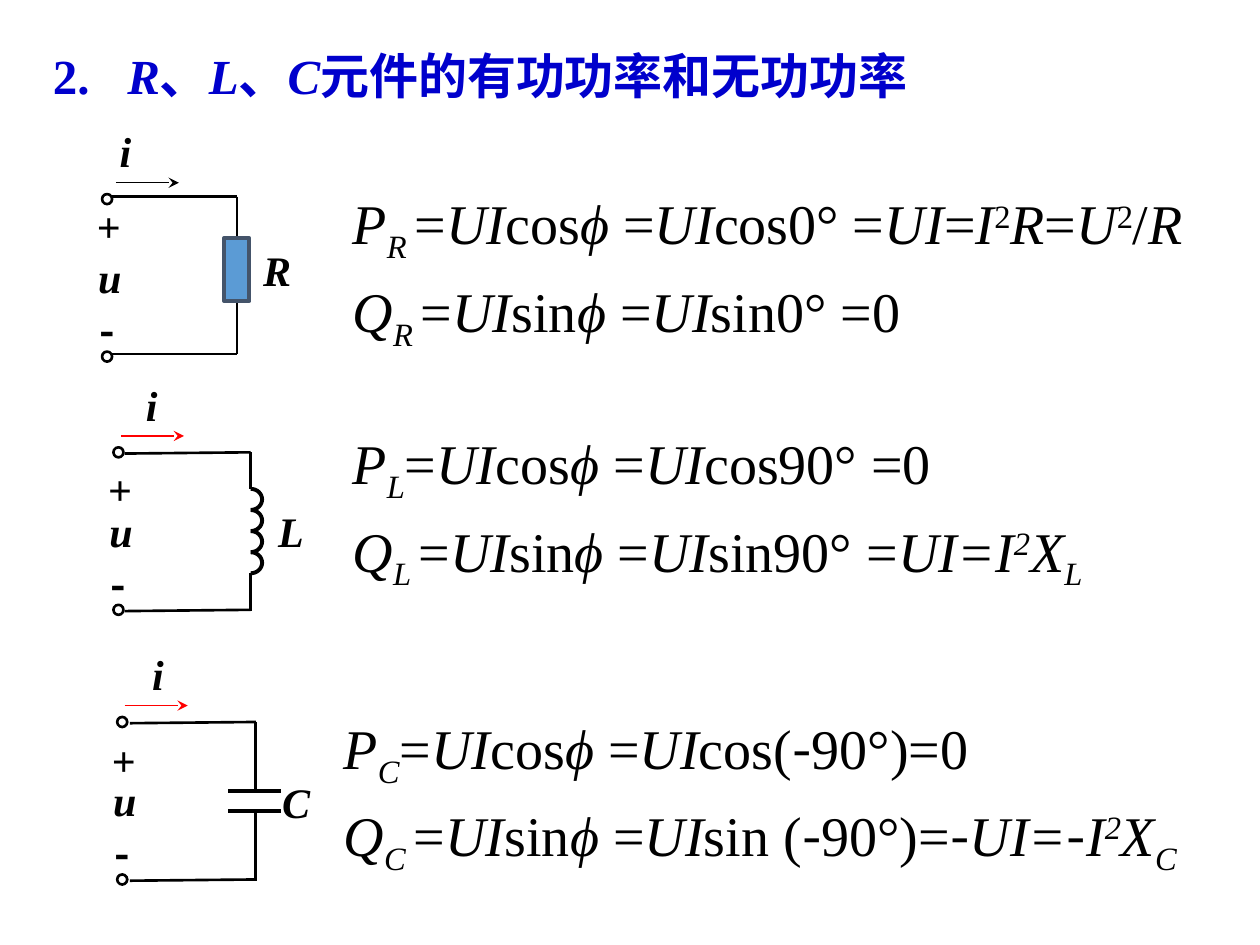
"""Build a slide on the active and reactive power of R, L and C elements."""
from dataclasses import dataclass
from math import cos, pi, sin

from lxml import etree
from pptx import Presentation
from pptx.dml.color import RGBColor
from pptx.enum.shapes import MSO_CONNECTOR, MSO_SHAPE
from pptx.enum.text import MSO_ANCHOR, MSO_AUTO_SIZE, PP_ALIGN
from pptx.oxml.ns import qn
from pptx.util import Inches, Pt

STRAIGHT = MSO_CONNECTOR.STRAIGHT
OVAL = MSO_SHAPE.OVAL
RECTANGLE = MSO_SHAPE.RECTANGLE
MIDDLE = MSO_ANCHOR.MIDDLE
LEFT = PP_ALIGN.LEFT
GROW = MSO_AUTO_SIZE.SHAPE_TO_FIT_TEXT
NO_FIT = MSO_AUTO_SIZE.NONE
TITLE_ONLY = 5
TOP_SIDE, BOTTOM_SIDE = 0, 2

SERIF = "Times New Roman"
SANS = "Noto Sans CJK SC"
COLORS = {"ink": "000000", "title": "0000CC", "current": "FF0000",
          "resistor": "5B9BD5", "resistor_edge": "44546A"}

UPRIGHT = {}
ITALIC = {"italic": True}
SUB = {"italic": True, "baseline": -25}
SUP = {"baseline": 30}
SUP_ITALIC = {"italic": True, "baseline": 30}
MINUS = ("-", {"font_name": SANS})


@dataclass
class Circuit:
    name: str
    x: float
    y: float
    lead: float
    wire_y: float
    rise: float
    gap: tuple
    arrow_x: float
    arrow_color: str
    current_x: float
    plus_y: float
    name_at: tuple


RESISTIVE = Circuit("R", 0.81, 1.54, 0.07, 0.02, 0, (0.35, 0.85),
                    0.11, "ink", 0.04, 0, (1.18, 0.35))
INDUCTIVE = Circuit("L", 0.9, 3.55, 0.09, 0.05, 0.01, (0.33, 1),
                    0.06, "current", 0.16, 0.08, (1.21, 0.41))
CAPACITIVE = Circuit("C", 0.93, 5.69, 0.1, 0.05, 0.01, (0.58, 0.76),
                     0.06, "current", 0.18, 0.09, (1.21, 0.42))


def color(name):
    return RGBColor.from_string(COLORS[name])


def add_run(paragraph, text, size, color_name="ink", font_name=SERIF,
            bold=False, italic=False, baseline=0):
    run = paragraph.add_run()
    run.text = text
    font = run.font
    font.size, font.bold, font.italic, font.name = Pt(size), bold, italic, font_name
    font.color.rgb = color(color_name)
    properties = font._element
    etree.SubElement(properties, qn("a:ea")).set("typeface", SANS)
    if baseline:
        properties.set("baseline", str(baseline * 1000))


def add_line(slide, start, end, width=1.5, color_name="ink", arrow=False):
    points = [Inches(value) for value in (*start, *end)]
    connector = slide.shapes.add_connector(STRAIGHT, *points)
    connector.line.width = Pt(width)
    connector.line.color.rgb = color(color_name)
    if arrow:
        head = etree.SubElement(connector.line._get_or_add_ln(), qn("a:tailEnd"))
        head.set("type", "stealth")
    etree.SubElement(connector._element.spPr, qn("a:effectLst"))
    return connector


def style_shape(shape, width, line_color="ink", fill_color=None):
    shape.shadow.inherit = False
    shape.line.width = Pt(width)
    shape.line.color.rgb = color(line_color)
    if fill_color:
        shape.fill.solid()
        shape.fill.fore_color.rgb = color(fill_color)
    else:
        shape.fill.background()


def add_shape(slide, kind, box, *style):
    shape = slide.shapes.add_shape(kind, *(Inches(value) for value in box))
    style_shape(shape, *style)
    return shape


def add_text_box(slide, box, wrap):
    frame = slide.shapes.add_textbox(*(Inches(value) for value in box)).text_frame
    frame.word_wrap = wrap
    frame.auto_size = GROW
    return frame


def add_label(slide, text, x, y, width, **style):
    frame = add_text_box(slide, (x, y, width, 0.5), False)
    add_run(frame.paragraphs[0], text, 24, bold=True, **style)


def add_circuit(slide, circuit):
    x, y = circuit.x, circuit.y
    start, corner = x + circuit.lead, x + circuit.lead + 1
    top = y + circuit.wire_y
    bottom = top + 1.25
    for wire in (top, bottom):
        add_line(slide, (start, wire), (corner, wire - circuit.rise))
    gap_top, gap_bottom = (y + offset for offset in circuit.gap)
    upper = add_line(slide, (corner, top - circuit.rise), (corner, gap_top))
    lower = add_line(slide, (corner, gap_bottom), (corner, bottom))
    for terminal in (y, y + 1.25):
        add_shape(slide, OVAL, (x, terminal, 0.08, 0.08), 1.5)
    arrow = x + circuit.arrow_x
    add_line(slide, (arrow, y - 0.09), (arrow + 0.5, y - 0.09), 0.75,
             circuit.arrow_color, arrow=True)
    add_label(slide, "i", x + circuit.current_x, y - 0.59, 0.29, italic=True)
    add_label(slide, "+", x - 0.14, y + circuit.plus_y, 0.39)
    add_label(slide, "u", x - 0.13, y + 0.41, 0.39, italic=True)
    add_label(slide, "-", x - 0.12, y + 0.83, 0.37, font_name=SANS)
    name_x, name_y = circuit.name_at
    add_label(slide, circuit.name, x + name_x, y + name_y, 0.41, italic=True)
    return upper, lower


def add_resistor(slide, upper, lower):
    resistor = add_shape(slide, RECTANGLE, (1.78, 1.89, 0.2, 0.5),
                         2.25, "resistor_edge", "resistor")
    upper.end_connect(resistor, TOP_SIDE)
    lower.begin_connect(resistor, BOTTOM_SIDE)


def add_coil(slide, x, top, bottom, turns=4, steps=16):
    pitch = (bottom - top) / turns
    for turn in range(turns):
        middle = top + (turn + 0.5) * pitch
        angles = [pi * step / steps for step in range(steps + 1)]
        points = [(Inches(x + 0.09 * sin(angle)),
                   Inches(middle - pitch / 2 * cos(angle))) for angle in angles]
        builder = slide.shapes.build_freeform(*points[0])
        builder.add_line_segments(points[1:], close=False)
        style_shape(builder.convert_to_shape(), 2.25)


def power_line(symbol, subscript, function, tail):
    return [(symbol, ITALIC), (subscript, SUB), ("=", UPRIGHT), ("UI", ITALIC),
            (function, UPRIGHT), ("ϕ ", ITALIC), ("=", UPRIGHT), ("UI", ITALIC), *tail]


def add_formulas(slide, left, top, width, lines):
    frame = add_text_box(slide, (left, top, width, 1.29), True)
    for index, runs in enumerate(lines):
        paragraph = frame.add_paragraph() if index else frame.paragraphs[0]
        spacing = etree.SubElement(paragraph._p.get_or_add_pPr(), qn("a:spcBef"))
        etree.SubElement(spacing, qn("a:spcPct")).set("val", "20000")
        for text, style in runs:
            add_run(paragraph, text, 32, **style)


def add_title(slide):
    title = slide.shapes.title
    title.left, title.top = Inches(0.32), Inches(0.31)
    title.width, title.height = Inches(7.52), Inches(0.57)
    frame = title.text_frame
    frame.vertical_anchor, frame.auto_size, frame.word_wrap = MIDDLE, NO_FIT, True
    paragraph = frame.paragraphs[0]
    paragraph.alignment, paragraph.line_spacing = LEFT, 1.0
    properties = paragraph._p.get_or_add_pPr()
    properties.set("marL", str(Inches(0.59)))
    properties.set("indent", str(-Inches(0.59)))
    for text, italic in (("2.\t", False), ("R", True), ("、", False), ("L", True),
                         ("、", False), ("C", True), ("元件的有功功率和无功功率", False)):
        add_run(paragraph, text, 28, "title", bold=True, italic=italic)


def main():
    presentation = Presentation()
    presentation.slide_width, presentation.slide_height = Inches(10), Inches(7.5)
    slide = presentation.slides.add_slide(presentation.slide_layouts[TITLE_ONLY])
    add_title(slide)
    add_resistor(slide, *add_circuit(slide, RESISTIVE))
    add_circuit(slide, INDUCTIVE)
    add_coil(slide, 1.99, 3.88, 4.55)
    add_circuit(slide, CAPACITIVE)
    for plate in (6.28, 6.44):
        add_line(slide, (1.81, plate), (2.23, plate), 2.25)
    add_formulas(slide, 2.7, 1.45, 6.95, [
        power_line("P", "R ", "cos", [
            ("cos0° =", UPRIGHT), ("UI", ITALIC), ("=", UPRIGHT), ("I", ITALIC),
            ("2", SUP), ("R", ITALIC), ("=", UPRIGHT), ("U", ITALIC), ("2", SUP),
            ("/", UPRIGHT), ("R", ITALIC)]),
        power_line("Q", "R ", "sin", [("sin0° =0", UPRIGHT)])])
    add_formulas(slide, 2.7, 3.35, 6.69, [
        power_line("P", "L", "cos", [("cos90° =0", UPRIGHT)]),
        power_line("Q", "L ", "sin", [
            ("sin90° =", UPRIGHT), ("UI=I", ITALIC), ("2", SUP_ITALIC),
            ("X", ITALIC), ("L", SUB)])])
    add_formulas(slide, 2.63, 5.61, 7.43, [
        power_line("P", "C", "cos", [("cos(", UPRIGHT), MINUS, ("90°)=0", UPRIGHT)]),
        power_line("Q", "C ", "sin", [
            ("sin (", UPRIGHT), MINUS, ("90°)=", UPRIGHT), MINUS, ("UI=", ITALIC),
            MINUS, ("I", ITALIC), ("2", SUP_ITALIC), ("X", ITALIC), ("C", SUB)])])
    presentation.save("out.pptx")


if __name__ == "__main__":
    main()
